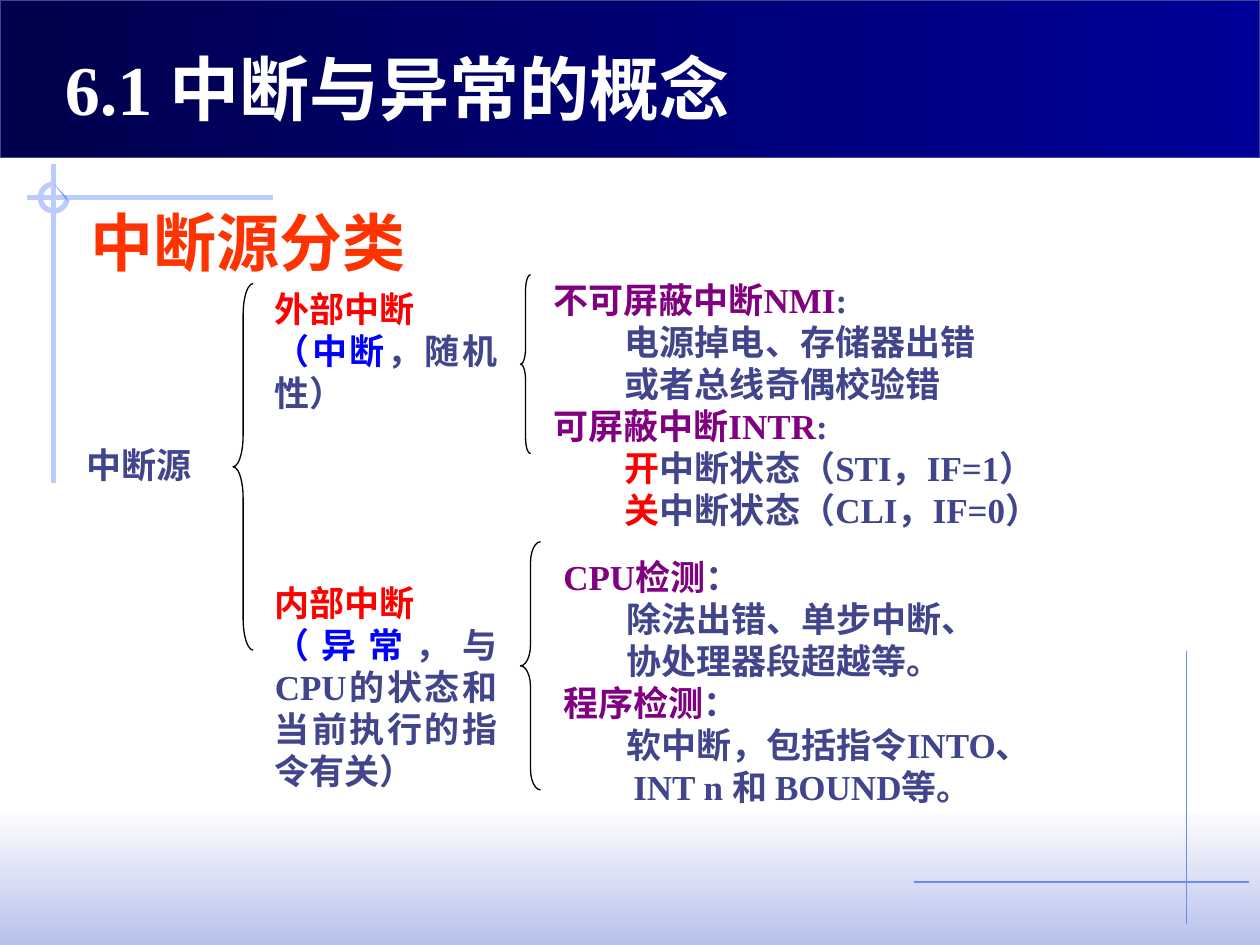
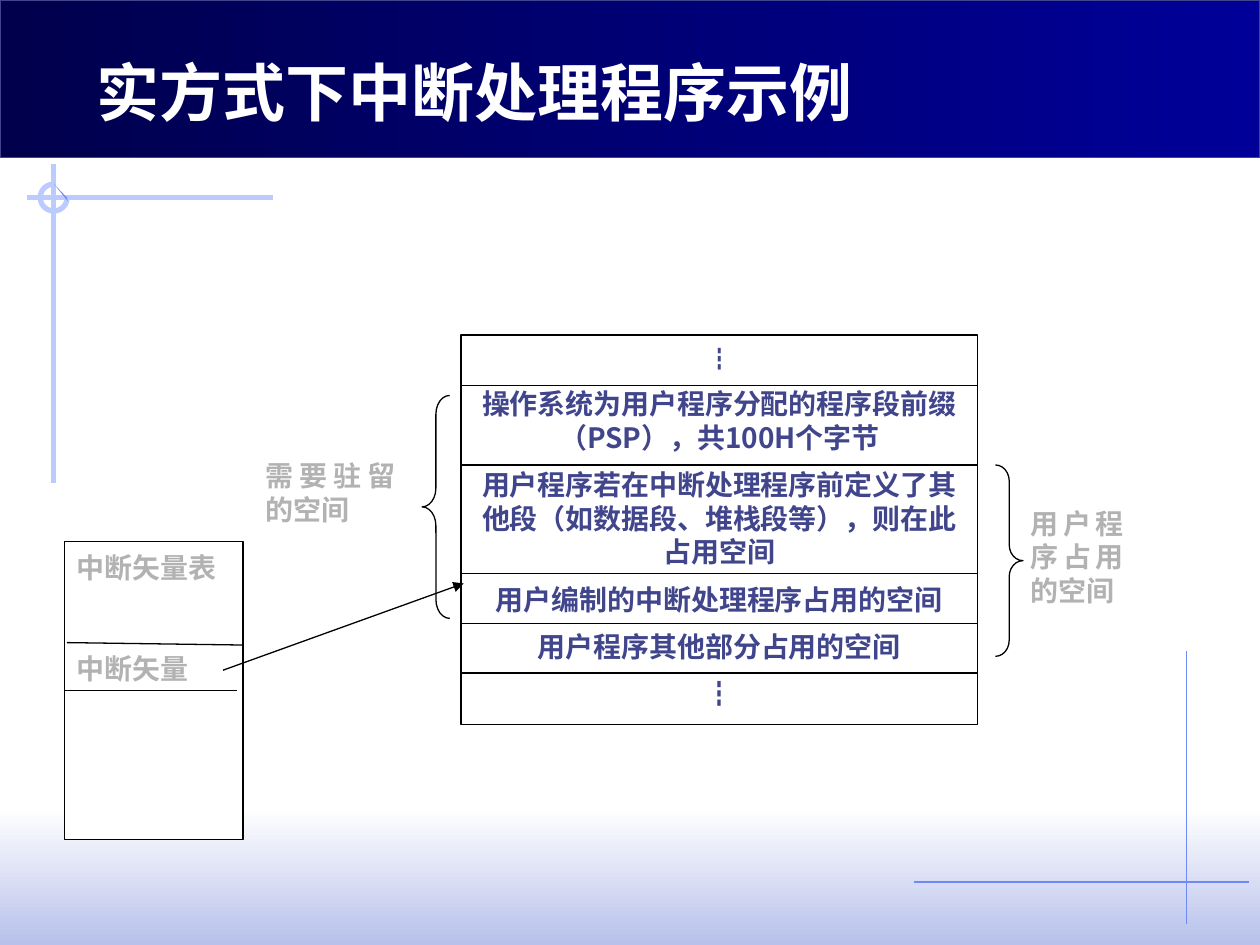
from dataclasses import dataclass

from lxml import etree
from pptx import Presentation
from pptx.dml.color import RGBColor
from pptx.enum.shapes import MSO_CONNECTOR, MSO_SHAPE
from pptx.enum.text import MSO_ANCHOR, PP_ALIGN
from pptx.oxml.ns import qn
from pptx.util import Pt

RECTANGLE = MSO_SHAPE.RECTANGLE
LEFT_BRACE, RIGHT_BRACE, ARC = MSO_SHAPE.LEFT_BRACE, MSO_SHAPE.RIGHT_BRACE, MSO_SHAPE.ARC
STRAIGHT = MSO_CONNECTOR.STRAIGHT
TOP = MSO_ANCHOR.TOP
LEFT, CENTER, JUSTIFY = PP_ALIGN.LEFT, PP_ALIGN.CENTER, PP_ALIGN.JUSTIFY

# Shared colours and fonts
BLACK, WHITE, GREY = "000000", "FFFFFF", "B2B2B2"
INK, RED, BLUE, PURPLE, ORANGE = "40458C", "FF0000", "0000FF", "800080", "FF3300"
THIN_RULE, THICK_RULE = "6F89F7", "BBCBFD"
SERIF, SANS, CHINESE = "Times New Roman", "Arial", "Noto Sans CJK SC"
LINE_PITCH = 1.2


@dataclass(frozen=True)
class Box:
    left: float
    top: float
    width: float
    height: float


@dataclass(frozen=True)
class Style:
    size: float
    color: str
    font: str = SERIF
    align: PP_ALIGN = LEFT
    bold: bool = True
    inset_x: float = 7.2
    inset_top: float = 6


@dataclass(frozen=True)
class Span:
    text: str
    color: str


@dataclass(frozen=True)
class Para:
    spans: tuple[Span, ...]
    indent: float = 0
    before: float = 0
    size: float | None = None
    bold: bool = True


@dataclass(frozen=True)
class Rule:
    x1: float
    y1: float
    x2: float
    y2: float
    color: str = BLACK
    weight: float = 0.75
    arrow: bool = False


@dataclass(frozen=True)
class Brace:
    box: Box
    curl: float
    kind: MSO_SHAPE = LEFT_BRACE


TITLE = Style(40, WHITE)
SUBTITLE = Style(36, WHITE)
BODY = Style(20, INK, align=JUSTIFY, inset_x=1.5, inset_top=2)
LABEL = Style(16, GREY, align=JUSTIFY, inset_x=1.5, inset_top=2)
VECTOR = Style(16, GREY, align=JUSTIFY, inset_top=5)
MEMORY = Style(16, INK, font=CHINESE, align=CENTER, inset_top=5)


def rgb(color: str) -> RGBColor:
    return RGBColor.from_string(color)


def line(text: str, color: str = INK, **options) -> Para:
    """A paragraph in one colour."""
    return Para((Span(text, color),), **options)


def lead(first: str, color: str, rest: str, **options) -> Para:
    """A paragraph whose opening words are coloured."""
    return Para((Span(first, color), Span(rest, INK)), **options)


def write(shape, paras: list[Para], style: Style) -> None:
    frame = shape.text_frame
    frame.word_wrap = True
    frame.vertical_anchor = TOP
    frame.margin_left = frame.margin_right = Pt(style.inset_x)
    frame.margin_top, frame.margin_bottom = Pt(style.inset_top), Pt(0)
    for index, item in enumerate(paras):
        para = frame.add_paragraph() if index else frame.paragraphs[0]
        size = item.size or style.size
        para.alignment = style.align
        para.line_spacing = Pt(size * LINE_PITCH)
        para.space_before = Pt(item.before)
        font = para.font
        font.size, font.name, font.bold = Pt(size), style.font, item.bold
        font.color.rgb = rgb(item.spans[0].color)
        etree.SubElement(font._element, qn("a:ea"), typeface=CHINESE)
        if item.indent:
            para._p.get_or_add_pPr().set("marL", str(Pt(item.indent)))
        for part in item.spans:
            span = para.add_run()
            span.text = part.text
            if part.color != item.spans[0].color:
                span.font.color.rgb = rgb(part.color)


def add_text(page, box: Box, paras: list[Para], style: Style) -> None:
    shape = page.shapes.add_textbox(Pt(box.left), Pt(box.top), Pt(box.width), Pt(box.height))
    write(shape, paras, style)


def add_shape(page, kind: MSO_SHAPE, box: Box, fill: str | None = None,
              outline: str | None = BLACK, weight: float = 0.75):
    shape = page.shapes.add_shape(kind, Pt(box.left), Pt(box.top), Pt(box.width), Pt(box.height))
    shape.shadow.inherit = False
    if fill:
        shape.fill.solid()
        shape.fill.fore_color.rgb = rgb(fill)
    else:
        shape.fill.background()
    if outline:
        shape.line.color.rgb = rgb(outline)
        shape.line.width = Pt(weight)
    else:
        shape.line.fill.background()
    return shape


def add_gradient(page, box: Box, start: str, end: str, angle: float,
                 outline: str | None = None) -> None:
    shape = add_shape(page, RECTANGLE, box, outline=outline)
    shape.fill.gradient()
    shape.fill.gradient_angle = angle
    for stop, color in zip(shape.fill.gradient_stops, (start, end)):
        stop.color.rgb = rgb(color)


def add_brace(page, brace: Brace) -> None:
    shape = add_shape(page, brace.kind, brace.box)
    shape.adjustments[0] = brace.curl
    shape.adjustments[1] = 0.5


def add_rule(page, rule: Rule) -> None:
    connector = page.shapes.add_connector(
        STRAIGHT, Pt(rule.x1), Pt(rule.y1), Pt(rule.x2), Pt(rule.y2))
    connector.line.color.rgb = rgb(rule.color)
    connector.line.width = Pt(rule.weight)
    properties = connector._element.spPr
    if rule.arrow:
        etree.SubElement(properties.find(qn("a:ln")), qn("a:tailEnd"), type="triangle")
    etree.SubElement(properties, qn("a:effectLst"))


def add_page(deck, title: str, title_box: Box, title_style: Style):
    """A page with the shared bands, crosshairs and title."""
    page = deck.slides.add_slide(deck.slide_layouts[6])
    add_gradient(page, Box(0, 462, 720, 78), WHITE, "B7C1EB", 270)
    for rule in (
        Rule(678, 372, 678, 528, THIN_RULE),
        Rule(522, 504, 714, 504, THIN_RULE),
        Rule(156, 113, 15.6, 113, THICK_RULE, 3),
        Rule(30.7, 93.6, 30.7, 276, THICK_RULE, 3),
    ):
        add_rule(page, rule)
    # Three-quarter ring with its sliver
    ring = add_shape(page, ARC, Box(23, 105.2, 15.4, 15.4), outline=THICK_RULE, weight=3)
    ring.adjustments[0], ring.adjustments[1] = 0, 162
    builder = page.shapes.build_freeform(Pt(38.3), Pt(113))
    builder.add_line_segments([(Pt(38.7), Pt(115)), (Pt(30.9), Pt(105.2))])
    sliver = builder.convert_to_shape()
    sliver.shadow.inherit = False
    sliver.fill.solid()
    sliver.fill.fore_color.rgb = rgb(THIN_RULE)
    sliver.line.fill.background()
    # Title band
    add_gradient(page, Box(0, 0, 720, 90), "00004D", "000099", 0, INK)
    add_text(page, title_box, [line(title, title_style.color)], title_style)
    return page


def build_sources_page(deck) -> None:
    page = add_page(deck, "6.1 中断与异常的概念", Box(30, 20, 568, 52), TITLE)
    add_text(page, Box(44.6, 110, 197, 51), [line("中断源分类", ORANGE)],
             Style(36, ORANGE, font=CHINESE))
    add_text(page, Box(42.5, 247.7, 79.2, 31), [line("中断源")], Style(20, INK, font=SANS))
    for brace in (
        Brace(Box(133.2, 162, 11.5, 209.5), 1.56),
        Brace(Box(297.4, 157, 5.8, 102.2), 1.51),
        Brace(Box(297.4, 309.6, 11.5, 141.8), 1.04),
    ):
        add_brace(page, brace)
    # External and internal sources
    add_text(page, Box(155.5, 162, 130.3, 215), [
        line("外部中断", RED),
        Para((Span("（中断", BLUE), Span("，随机性）", INK))),
        line("内部中断", RED, before=96),
        lead("（异常", BLUE, "，与CPU的状态和当前执行的指令有关）"),
    ], BODY)
    # Kinds of external interrupt
    add_text(page, Box(314.6, 157, 340, 146), [
        lead("不可屏蔽中断NMI", PURPLE, ":"),
        line("电源掉电、存储器出错", indent=41),
        line("或者总线奇偶校验错", indent=41),
        lead("可屏蔽中断INTR", PURPLE, ":"),
        lead("开", RED, "中断状态（STI，IF=1）", indent=41),
        lead("关", RED, "中断状态（CLI，IF=0）", indent=41),
    ], BODY)
    # Kinds of internal interrupt
    add_text(page, Box(320.4, 315.4, 288, 154), [
        lead("CPU检测", PURPLE, "："),
        line("除法出错、单步中断、", indent=36),
        line("协处理器段超越等。", indent=36),
        lead("程序检测", PURPLE, "："),
        line("软中断，包括指令INTO、", indent=36),
        line("INT n 和 BOUND等。", indent=40),
    ], BODY)


def build_memory_page(deck) -> None:
    page = add_page(deck, "实方式下中断处理程序示例", Box(48.2, 24.5, 451, 51), SUBTITLE)
    # Memory map
    memory = Box(263.5, 191.5, 295.2, 222.5)
    gap = 7.8
    rows = (
        "操作系统为用户程序分配的程序段前缀（PSP），共100H个字节",
        "用户程序若在中断处理程序前定义了其他段（如数据段、堆栈段等），则在此占用空间",
        "用户编制的中断处理程序占用的空间",
        "用户程序其他部分占用的空间",
        "┇",
    )
    write(add_shape(page, RECTANGLE, memory),
          [line("┇", size=14, bold=False)] + [line(row, before=gap) for row in rows], MEMORY)
    for y in (220.3, 265.7, 327.6, 356.4, 384.5):
        add_rule(page, Rule(memory.left, y, memory.left + memory.width, y))
    # Braces and their labels
    add_brace(page, Brace(Box(241.2, 226, 15.8, 127.4), 0.68))
    add_brace(page, Brace(Box(568.8, 265.7, 15.8, 109.4), 0.58, RIGHT_BRACE))
    add_text(page, Box(150.5, 260, 77, 45.4), [line("需要驻留的空间", GREY)], LABEL)
    add_text(page, Box(587.5, 287.3, 56.2, 62.6), [line("用户程序占用的空间", GREY)], LABEL)
    # Vector table
    table = Box(36.7, 309.6, 102.2, 170)
    write(add_shape(page, RECTANGLE, table, fill=WHITE),
          [line("中断矢量表", GREY), line("中断矢量", GREY, before=38.4)], VECTOR)
    add_rule(page, Rule(table.left, 394.6, 135.4, 394.6))
    add_rule(page, Rule(38.2, 367.2, table.left + table.width, 368.6))
    add_rule(page, Rule(127.4, 383, 265, 333.4, arrow=True))


def main() -> None:
    deck = Presentation()
    deck.slide_width, deck.slide_height = Pt(720), Pt(540)
    build_sources_page(deck)
    build_memory_page(deck)
    deck.save("out.pptx")


if __name__ == "__main__":
    main()
